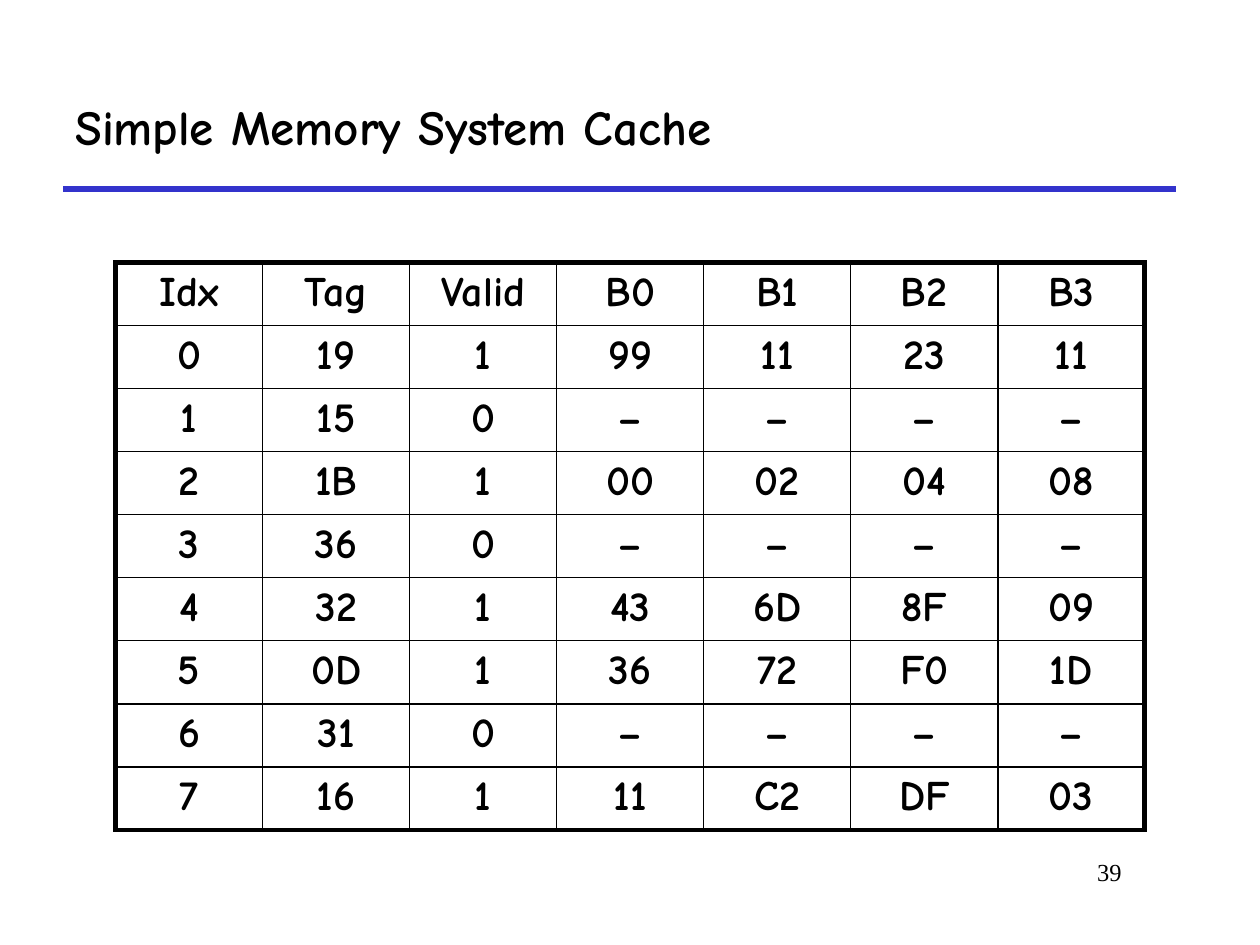
from dataclasses import dataclass

from lxml import etree
from pptx import Presentation
from pptx import util as u
from pptx.dml import color
from pptx.enum import shapes, text
from pptx.oxml import ns


@dataclass(frozen=True)
class Theme:
    """Colours, fonts, type sizes and line widths of the page."""
    ink: str = "000000"
    rule: str = "3333CC"
    display: str = "Comic Neue"
    serif: str = "Times New Roman"
    title_size: int = 28
    cell_size: int = 24
    number_size: int = 14
    thin: int = 1
    thick: int = 3


THEME = Theme()
TITLE_FORMAT = {"name": THEME.display, "size": u.Pt(THEME.title_size), "bold": True}
CELL_FORMAT = {"name": THEME.display, "size": u.Pt(THEME.cell_size), "bold": True}
NUMBER_FORMAT = {"name": THEME.serif, "size": u.Pt(THEME.number_size), "bold": False}

CACHE = [
    "Idx Tag Valid B0 B1 B2 B3",
    "0 19 1 99 11 23 11",
    "1 15 0 – – – –",
    "2 1B 1 00 02 04 08",
    "3 36 0 – – – –",
    "4 32 1 43 6D 8F 09",
    "5 0D 1 36 72 F0 1D",
    "6 31 0 – – – –",
    "7 16 1 11 C2 DF 03",
]


def write(frame, words, formats, align):
    """Put one formatted paragraph into a text frame."""
    para = frame.paragraphs[0]
    para.alignment = align
    span = para.add_run()
    span.text = words
    for name, value in formats.items():
        setattr(span.font, name, value)
    span.font.color.rgb = color.RGBColor.from_string(THEME.ink)


def add_label(page, place, words, formats, align, anchor):
    """Add a wrapping text box at a place given in centimetres."""
    box = page.shapes.add_textbox(*map(u.Cm, place))
    box.text_frame.word_wrap = True
    box.text_frame.vertical_anchor = anchor
    write(box.text_frame, words, formats, align)


def add_rule(page, left, right, top):
    """Add the horizontal rule below the title."""
    rule = page.shapes.add_connector(
        shapes.MSO_CONNECTOR.STRAIGHT, u.Cm(left), u.Cm(top), u.Cm(right), u.Cm(top))
    rule.line.color.rgb = color.RGBColor.from_string(THEME.rule)
    rule.line.width = u.Pt(THEME.thick)
    etree.SubElement(rule._element.spPr, ns.qn("a:effectLst"))


def add_borders(cell, outer_sides):
    """Draw thick borders on the outer sides of a cell and thin ones elsewhere."""
    properties = cell._tc.get_or_add_tcPr()
    for side, outer in outer_sides.items():
        width = u.Pt(THEME.thick if outer else THEME.thin)
        line = etree.SubElement(properties, ns.qn(f"a:ln{side}"), w=str(width))
        fill = etree.SubElement(line, ns.qn("a:solidFill"))
        etree.SubElement(fill, ns.qn("a:srgbClr"), val=THEME.ink)


def add_grid(page, place, lines):
    """Add a framed table with equal columns and rows."""
    rows = [line.split() for line in lines]
    last_row, last_column = len(rows) - 1, len(rows[0]) - 1
    table = page.shapes.add_table(len(rows), len(rows[0]), *map(u.Cm, place)).table
    table.first_row = table.horz_banding = False
    for r, row in enumerate(rows):
        for c, words in enumerate(row):
            cell = table.cell(r, c)
            write(cell.text_frame, words, CELL_FORMAT, text.PP_ALIGN.CENTER)
            add_borders(cell, {"L": c == 0, "R": c == last_column,
                               "T": r == 0, "B": r == last_row})
            cell.fill.background()


def main():
    """Build the cache page and save the deck."""
    deck = Presentation()
    deck.slide_width, deck.slide_height = u.Cm(25.4), u.Cm(19.05)
    page = deck.slides.add_slide(deck.slide_layouts[6])
    add_rule(page, 1.27, 23.71, 3.81)
    add_label(page, (19.26, 17.15, 3.6, 1.27), "39", NUMBER_FORMAT,
              text.PP_ALIGN.RIGHT, text.MSO_ANCHOR.TOP)
    add_label(page, (1.27, 1.27, 22.44, 2.54), "Simple Memory System Cache",
              TITLE_FORMAT, text.PP_ALIGN.LEFT, text.MSO_ANCHOR.MIDDLE)
    add_grid(page, (2.33, 5.29, 20.75, 11.38), CACHE)
    deck.save("out.pptx")


if __name__ == "__main__":
    main()
